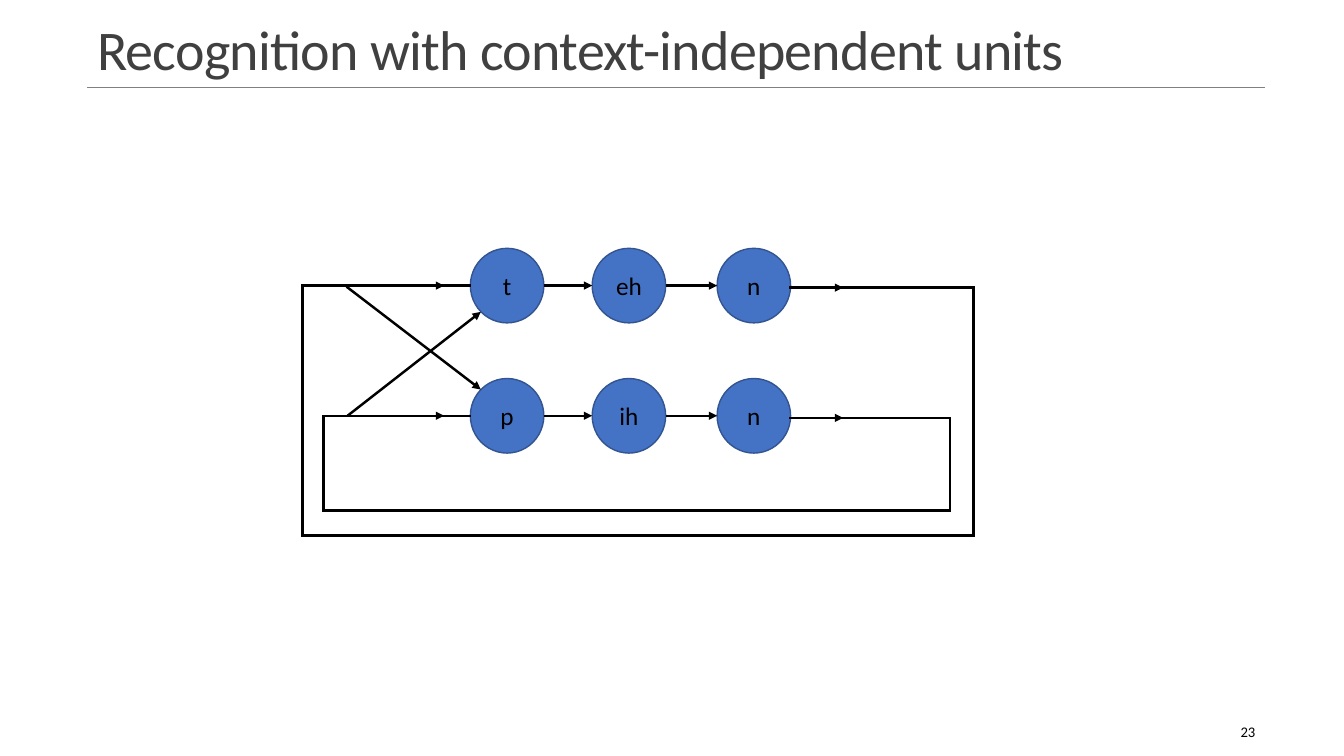
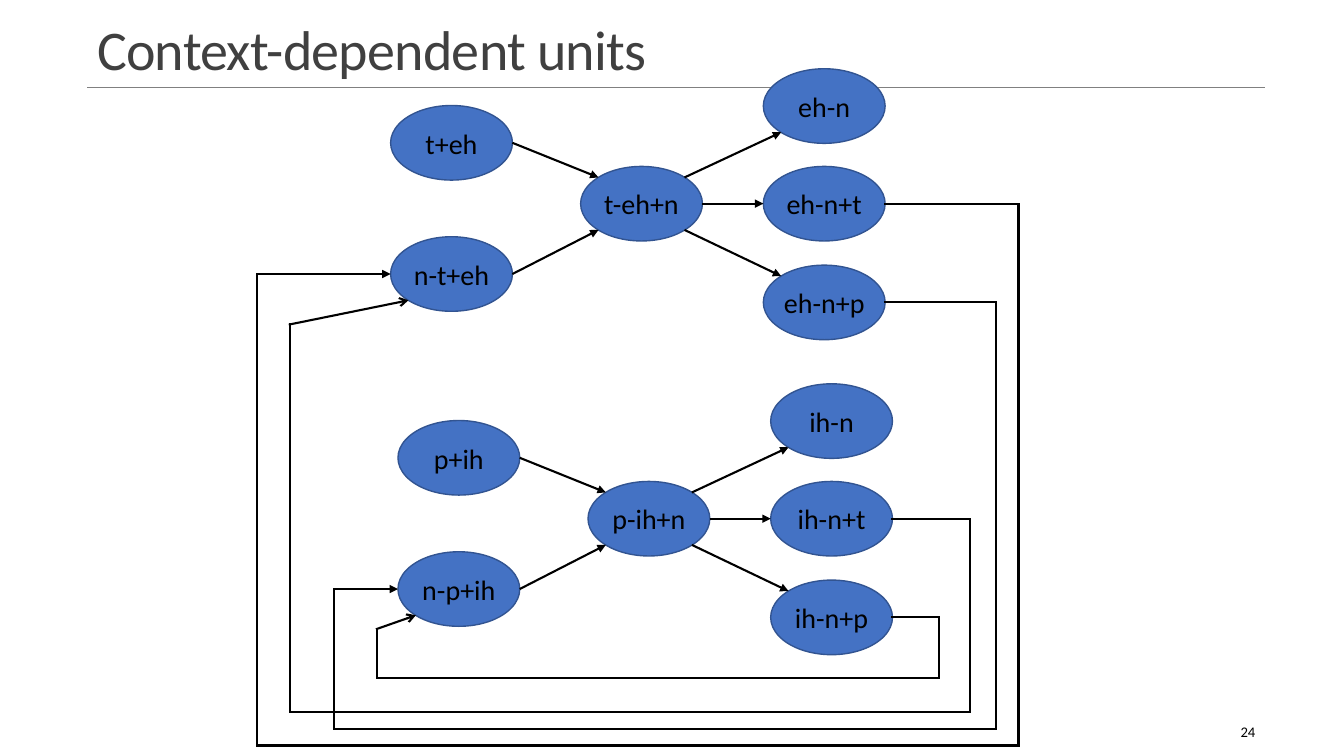
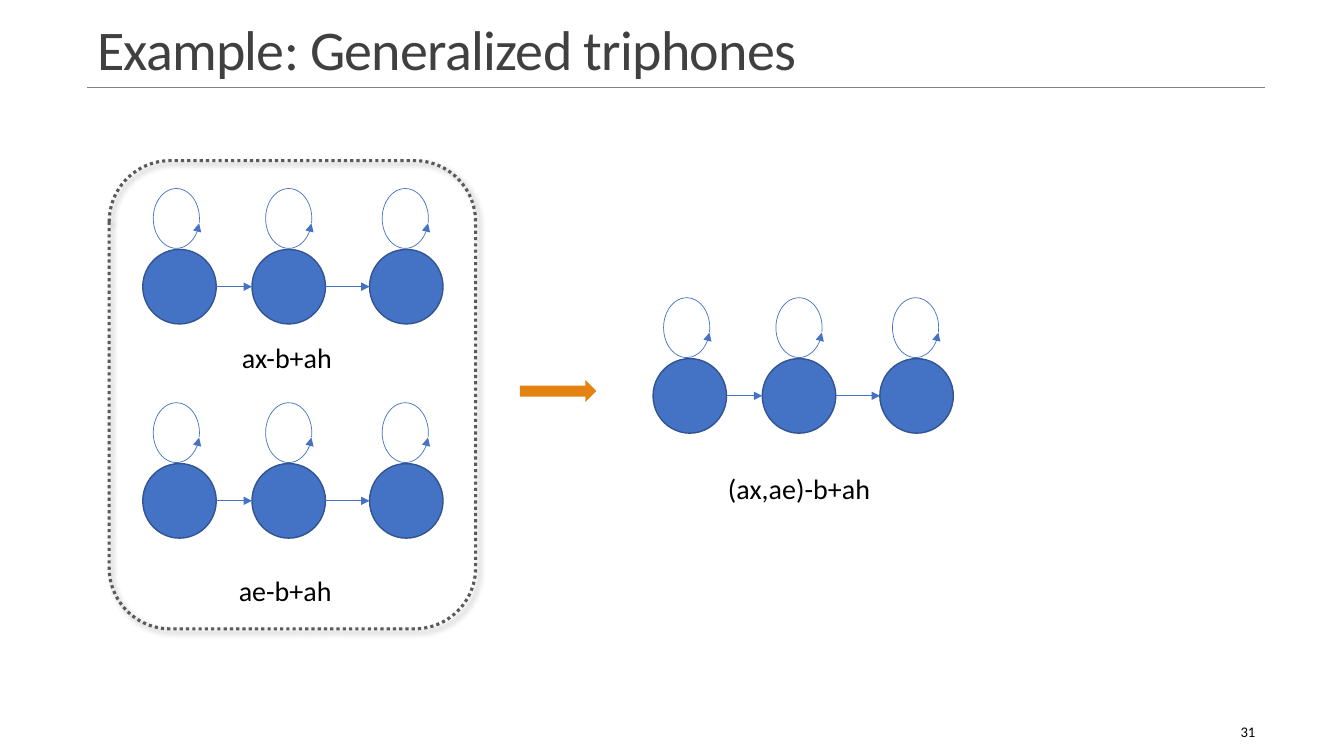
from dataclasses import dataclass
from typing import Optional, Union

from lxml import etree
from pptx import Presentation
from pptx.dml.color import RGBColor
from pptx.enum.dml import MSO_LINE
from pptx.enum.shapes import MSO_CONNECTOR, MSO_SHAPE
from pptx.enum.text import MSO_ANCHOR, PP_ALIGN
from pptx.oxml.ns import qn
from pptx.shapes.autoshape import Shape
from pptx.shapes.connector import Connector
from pptx.shapes.shapetree import GroupShapes, SlideShapes
from pptx.slide import Slide
from pptx.util import Emu, Pt

EMU_PER_PX = 9525
STRAIGHT = MSO_CONNECTOR.STRAIGHT
ELLIPSE, ARC = MSO_SHAPE.OVAL, MSO_SHAPE.ARC
ROUNDED, RIGHT_ARROW = MSO_SHAPE.ROUNDED_RECTANGLE, MSO_SHAPE.RIGHT_ARROW
LEFT, CENTER, RIGHT = PP_ALIGN.LEFT, PP_ALIGN.CENTER, PP_ALIGN.RIGHT
TOP, MIDDLE, BOTTOM = MSO_ANCHOR.TOP, MSO_ANCHOR.MIDDLE, MSO_ANCHOR.BOTTOM
DOTTED = MSO_LINE.ROUND_DOT

Shapes = Union[SlideShapes, GroupShapes]
Point = tuple[int, int]
Box = tuple[int, int, int, int]


@dataclass(frozen=True)
class Theme:
    font: str = "Calibri"
    ink: str = "000000"
    heading: str = "404040"
    rule: str = "808080"
    state: str = "4472C4"
    state_edge: str = "325491"
    cluster_edge: str = "595959"
    accent: str = "E48312"
    title_size: float = 40
    unit_size: float = 20
    phone_size: float = 18
    number_size: float = 10.5
    hairline: float = 0.5
    edge: float = 1
    triphone_line: float = 1.5
    phone_line: float = 1.75
    cluster_line: float = 2.25


THEME = Theme()


@dataclass(frozen=True)
class Unit:
    label: str
    x: int
    y: int
    width: int
    height: int = 71

    def site(self, across: int, down: int) -> Point:
        reach = 0.71 if across and down else 1
        return (
            round(self.x + across * reach * self.width / 2),
            round(self.y + down * reach * self.height / 2),
        )


@dataclass(frozen=True)
class Word:
    phones: tuple[str, str, str]
    y: int
    loop_left: int
    loop_right: int
    loop_bottom: int


@dataclass(frozen=True)
class Feedback:
    source: str
    target: str
    right: int
    bottom: int
    left: int
    rise: Optional[int] = None


@dataclass(frozen=True)
class Model:
    x: int
    y: int
    label: str
    label_box: Box
    align: PP_ALIGN


def px(length: float) -> Emu:
    return Emu(round(length * EMU_PER_PX))


def rgb(colour: str) -> RGBColor:
    return RGBColor.from_string(colour)


def apply(target: object, values: dict[str, object]) -> None:
    for name, value in values.items():
        setattr(target, name, value)


def style_line(part: Union[Shape, Connector], colour: str, width: float) -> None:
    part.line.color.rgb = rgb(colour)
    part.line.width = Pt(width)


def add_head(part: Union[Shape, Connector], end: str, kind: str) -> None:
    outline = part._element.spPr.find(qn("a:ln"))
    etree.SubElement(outline, qn(f"a:{end}")).set("type", kind)


def write(holder: Shape, text: str, size: float, align: PP_ALIGN,
          anchor: MSO_ANCHOR, colour: str = THEME.ink) -> None:
    frame = holder.text_frame
    apply(frame, {"word_wrap": True, "vertical_anchor": anchor})
    paragraph = frame.paragraphs[0]
    paragraph.alignment = align
    run = paragraph.add_run()
    run.text = text
    apply(run.font, {"name": THEME.font, "size": Pt(size)})
    run.font.color.rgb = rgb(colour)


def add_text(shapes: Shapes, box: Box, text: str, size: float, align: PP_ALIGN,
             anchor: MSO_ANCHOR, colour: str = THEME.ink) -> Shape:
    holder = shapes.add_textbox(*map(px, box))
    write(holder, text, size, align, anchor, colour)
    return holder


def add_line(shapes: Shapes, start: Point, end: Point, width: float,
             colour: str = THEME.ink, head: Optional[str] = None) -> Connector:
    line = shapes.add_connector(STRAIGHT, *map(px, start + end))
    style_line(line, colour, width)
    if head:
        add_head(line, "tailEnd", head)
    etree.SubElement(line._element.spPr, qn("a:effectLst"))
    return line


def add_route(shapes: Shapes, points: list[Point], width: float,
              head: Optional[str] = None) -> None:
    route = shapes.add_group_shape().shapes
    last = len(points) - 2
    for leg, (start, end) in enumerate(zip(points, points[1:])):
        line = add_line(route, start, end, width, head=head if leg == last else None)
        line._element.spPr.find(qn("a:ln")).set("cap", "sq")


def add_unit(shapes: Shapes, unit: Unit, size: float) -> None:
    left, top = unit.x - unit.width / 2, unit.y - unit.height / 2
    oval = shapes.add_shape(ELLIPSE, *map(px, (left, top, unit.width, unit.height)))
    oval.shadow.inherit = False
    oval.fill.solid()
    oval.fill.fore_color.rgb = rgb(THEME.state)
    style_line(oval, THEME.state_edge, THEME.edge)
    if unit.label:
        margins = ("margin_left", "margin_top", "margin_right", "margin_bottom")
        apply(oval.text_frame, dict.fromkeys(margins, 0))
        write(oval, unit.label, size, CENTER, MIDDLE)


def start_slide(deck: Presentation, title: str, number: int) -> Slide:
    slide = deck.slides.add_slide(deck.slide_layouts[6])
    add_line(slide.shapes, (83, 83), (1205, 83), THEME.hairline, THEME.rule)
    heading = add_text(slide.shapes, (83, 12, 1123, 71), title,
                       THEME.title_size, LEFT, BOTTOM, THEME.heading)
    paragraph = heading.text_frame.paragraphs[0]
    paragraph.line_spacing = 0.85
    paragraph.runs[0]._r.get_or_add_rPr().set("spc", "-50")
    add_text(slide.shapes, (1068, 678, 137, 38), str(number),
             THEME.number_size, RIGHT, MIDDLE)
    return slide


WORDS = (
    Word(("t", "eh", "n"), 272, 288, 927, 510),
    Word(("p", "ih", "n"), 396, 308, 905, 486),
)
PHONE_CENTERS = (483, 599, 718)


def draw_phones(deck: Presentation) -> None:
    shapes = start_slide(deck, "Recognition with context-independent units", 23).shapes
    width = THEME.phone_line
    for word in WORDS:
        phones = [Unit(label, x, word.y, 70)
                  for label, x in zip(word.phones, PHONE_CENTERS)]
        for phone in phones:
            add_unit(shapes, phone, THEME.phone_size)
        for phone, following in zip(phones, phones[1:]):
            add_line(shapes, phone.site(1, 0), following.site(-1, 0), width,
                     head="triangle")
        exit_y = word.y + 2
        add_route(shapes, [
            (447, word.y), (word.loop_left, word.y),
            (word.loop_left, word.loop_bottom), (word.loop_right, word.loop_bottom),
            (word.loop_right, exit_y), (753, exit_y),
        ], width)
        for start, end, y in ((378, 423, word.y), (756, 803, exit_y)):
            add_line(shapes, (start, y), (end, y), width, head="triangle")
    for start, end in (((330, 273), (458, 371)), ((331, 396), (458, 297))):
        add_line(shapes, start, end, width, head="triangle")


FAMILIES = (
    (("t+eh", "n-t+eh", "t-eh+n", "eh-n", "eh-n+t", "eh-n+p"), 0, 0),
    (("p+ih", "n-p+ih", "p-ih+n", "ih-n", "ih-n+t", "ih-n+p"), 7, 300),
)
TRIPHONE_CENTERS = ((430, 136), (430, 261), (611, 194),
                    (785, 101), (785, 194), (785, 288))
FEEDBACKS = (
    Feedback("eh-n+t", "n-t+eh", 970, 710, 245),
    Feedback("eh-n+p", "n-p+ih", 949, 694, 318),
    Feedback("ih-n+t", "n-t+eh", 924, 678, 276, 309),
    Feedback("ih-n+p", "n-p+ih", 894, 646, 359, 599),
)


def draw_triphones(deck: Presentation) -> None:
    shapes = start_slide(deck, "Context-dependent units", 24).shapes
    width = THEME.triphone_line
    units: dict[str, Unit] = {}
    for labels, shift_x, shift_y in FAMILIES:
        family = [Unit(label, x + shift_x, y + shift_y, 116)
                  for label, (x, y) in zip(labels, TRIPHONE_CENTERS)]
        units.update(zip(labels, family))
        for unit in family:
            add_unit(shapes, unit, THEME.unit_size)
        hub = family[2]
        for entry, side in zip(family[:2], (-1, 1)):
            add_line(shapes, entry.site(1, 0), hub.site(-1, side), width, head="triangle")
        for leaf, side in zip(family[3:], (-1, 0, 1)):
            add_line(shapes, hub.site(1, side), leaf.site(-1, -side), width,
                     head="triangle")
    for loop in FEEDBACKS:
        start = units[loop.source].site(1, 0)
        end = units[loop.target].site(-1, 1 if loop.rise else 0)
        add_route(shapes, [
            start, (loop.right, start[1]), (loop.right, loop.bottom),
            (loop.left, loop.bottom), (loop.left, loop.rise or end[1]), end,
        ], width, "arrow" if loop.rise else "triangle")


MODELS = (
    Model(171, 273, "ax-b+ah", (221, 320, 114, 42), LEFT),
    Model(171, 477, "ae-b+ah", (218, 541, 114, 42), LEFT),
    Model(657, 377, "(ax,ae)-b+ah", (659, 444, 204, 42), CENTER),
)
STATE_OFFSETS = (0, 104, 216)
LOOP_OFFSETS = (-3, 104, 215)


def add_self_loop(shapes: Shapes, x: int, y: int) -> None:
    width, height = 57, 44
    loop = shapes.add_shape(
        ARC, *map(px, (x - width / 2, y - height / 2, width, height)))
    loop.shadow.inherit = False
    loop.rotation = 270
    loop.adjustments[0], loop.adjustments[1] = 61.32, 60.48
    loop.fill.background()
    style_line(loop, THEME.state, THEME.hairline)
    add_head(loop, "headEnd", "triangle")


def add_model(shapes: Shapes, model: Model) -> None:
    chain = shapes.add_group_shape().shapes
    states = [Unit("", model.x + offset, model.y, 70) for offset in STATE_OFFSETS]
    for state in states:
        add_unit(chain, state, THEME.unit_size)
    for state, following in zip(states, states[1:]):
        add_line(chain, state.site(1, 0), following.site(-1, 0),
                 THEME.hairline, THEME.state, "triangle")
    for offset in LOOP_OFFSETS:
        add_self_loop(chain, model.x + offset, model.y - 65)
    add_text(shapes, model.label_box, model.label, THEME.unit_size, model.align, TOP)


def add_cluster(shapes: Shapes) -> None:
    cluster = shapes.add_shape(ROUNDED, *map(px, (104, 153, 349, 446)))
    cluster.fill.background()
    style_line(cluster, THEME.cluster_edge, THEME.cluster_line)
    cluster.line.dash_style = DOTTED
    cluster.shadow.inherit = False
    effects = cluster._element.spPr.find(qn("a:effectLst"))
    shadow = etree.SubElement(effects, qn("a:outerShdw"))
    values = {"blurRad": Pt(4), "dist": Pt(3), "dir": 45 * 60000,
              "algn": "tl", "rotWithShape": 0}
    for name, value in values.items():
        shadow.set(name, str(int(value)) if name != "algn" else value)
    tint = etree.SubElement(shadow, qn("a:srgbClr"))
    tint.set("val", THEME.ink)
    etree.SubElement(tint, qn("a:alpha")).set("val", "40000")


def draw_generalized(deck: Presentation) -> None:
    shapes = start_slide(deck, "Example: Generalized triphones", 31).shapes
    for model in MODELS:
        add_model(shapes, model)
    add_cluster(shapes)
    merge = shapes.add_shape(RIGHT_ARROW, *map(px, (495, 362, 73, 21)))
    merge.shadow.inherit = False
    merge.fill.solid()
    merge.fill.fore_color.rgb = rgb(THEME.accent)
    merge.line.fill.background()


def main() -> None:
    deck = Presentation()
    apply(deck, {"slide_width": px(1280), "slide_height": px(720)})
    for draw in (draw_phones, draw_triphones, draw_generalized):
        draw(deck)
    deck.save("out.pptx")


if __name__ == "__main__":
    main()
